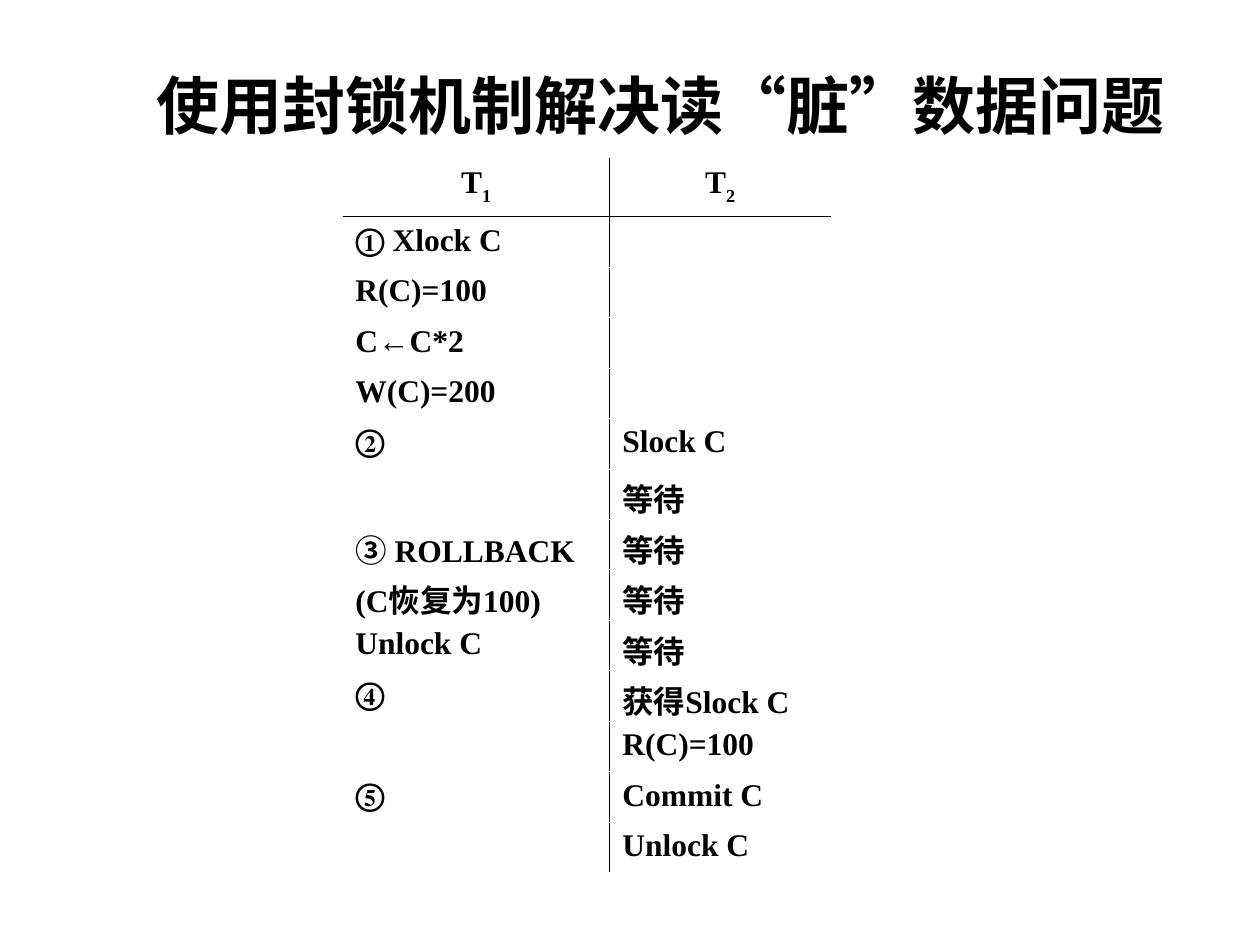
from lxml import etree
from pptx import Presentation
from pptx.dml.color import RGBColor
from pptx.enum.lang import MSO_LANGUAGE_ID
from pptx.enum.text import MSO_ANCHOR, PP_ALIGN
from pptx.oxml.ns import qn
from pptx.util import Inches, Pt

COLORS = {"ink": "000000", "paper": "FFFFFF"}
LATIN, CJK, TITLE = "Times New Roman", "Noto Sans CJK SC", "Arial"
NO_STYLE = "{2D5ABB26-0587-4C30-8999-92F81FD0307C}"

HEADER = ("T1", "T2")
STEPS = [
    ("① Xlock C", ""),
    ("R(C)=100", ""),
    ("C←C*2", ""),
    ("W(C)=200", ""),
    ("②", "Slock C"),
    ("", "等待"),
    ("③ ROLLBACK", "等待"),
    ("(C恢复为100)", "等待"),
    ("Unlock C", "等待"),
    ("④", "获得Slock C"),
    ("", "R(C)=100"),
    ("⑤", "Commit C"),
    ("", "Unlock C"),
]


def has_han(text):
    return any("\u4e00" <= ch <= "\u9fff" for ch in text)


class SlideBuilder:
    def __init__(self, slide):
        self.slide = slide

    def run(self, p, text, size=18, font=LATIN, subscript=False):
        r = p.add_run()
        r.text = text
        r.font.size, r.font.bold, r.font.name = Pt(size), True, font
        r.font.color.rgb = RGBColor.from_string(COLORS["ink"])
        rPr = r._r.get_or_add_rPr()
        ea = etree.SubElement(rPr, qn("a:ea"))
        ea.set("typeface", CJK if has_han(text) else font)
        if has_han(text):
            r.font.language_id = MSO_LANGUAGE_ID.SIMPLIFIED_CHINESE
        if subscript:
            rPr.set("baseline", "-30000")

    def title(self, text, left, top, width, height):
        box = self.slide.shapes.add_textbox(
            Inches(left), Inches(top), Inches(width), Inches(height))
        tf = box.text_frame
        tf.word_wrap = True
        tf.vertical_anchor = MSO_ANCHOR.MIDDLE
        p = tf.paragraphs[0]
        p.alignment = PP_ALIGN.CENTER
        self.run(p, text, 36, TITLE)

    def borders(self, cell, **sides):
        tcPr = cell._tc.get_or_add_tcPr()
        for side in "LRTB":
            if side in sides:
                ln = etree.SubElement(tcPr, qn("a:ln" + side), w=str(Pt(0.45)))
                fill = etree.SubElement(ln, qn("a:solidFill"))
                etree.SubElement(fill, qn("a:srgbClr"), val=COLORS[sides[side]])
        cell.fill.background()

    def cell_text(self, cell, text, header):
        p = cell.text_frame.paragraphs[0]
        if not text:
            # Keep blank cells from stretching their row
            etree.SubElement(p._p, qn("a:endParaRPr"), sz="1200")
            return
        pPr = p._p.get_or_add_pPr()
        pPr.set("marL", str(Inches(0.38)))
        pPr.set("indent", str(Inches(-0.38)))
        if header:
            p.alignment = PP_ALIGN.CENTER
            self.run(p, text[0])
            self.run(p, text[1:], subscript=True)
        elif text.startswith("③"):
            self.run(p, text[0], font=CJK)
            self.run(p, text[1:])
        else:
            self.run(p, text)

    def schedule(self, rows, left, top, col_widths, row_heights):
        frame = self.slide.shapes.add_table(
            len(rows), len(col_widths), Inches(left), Inches(top),
            Inches(sum(col_widths)), Inches(sum(row_heights)))
        table = frame.table
        table.first_row = table.horz_banding = False
        table._tbl.tblPr.find(qn("a:tableStyleId")).text = NO_STYLE
        for column, width in zip(table.columns, col_widths):
            column.width = Inches(width)
        for i, (row, height) in enumerate(zip(rows, row_heights)):
            table.rows[i].height = Inches(height)
            # Black rule under the header and between the two transactions
            edges = {"T": "ink" if i == 1 else "paper",
                     "B": "ink" if i == 0 else "paper"}
            for j, text in enumerate(row):
                cell = table.cell(i, j)
                inner = {"R": "ink"} if j == 0 else {"L": "ink", "R": "paper"}
                self.borders(cell, **edges, **inner)
                self.cell_text(cell, text, header=i == 0)


def main():
    prs = Presentation()
    prs.slide_width, prs.slide_height = Inches(10), Inches(7.5)
    s = SlideBuilder(prs.slides.add_slide(prs.slide_layouts[6]))

    # Heading
    s.title("使用封锁机制解决读“脏”数据问题", 0.98, 0.3, 8.52, 1.05)

    # Lock schedule of the two transactions
    s.schedule([HEADER] + STEPS, 2.72, 1.26, (2.12, 1.75),
               [0.46] + [0.4] * len(STEPS))

    prs.save("out.pptx")


if __name__ == "__main__":
    main()
